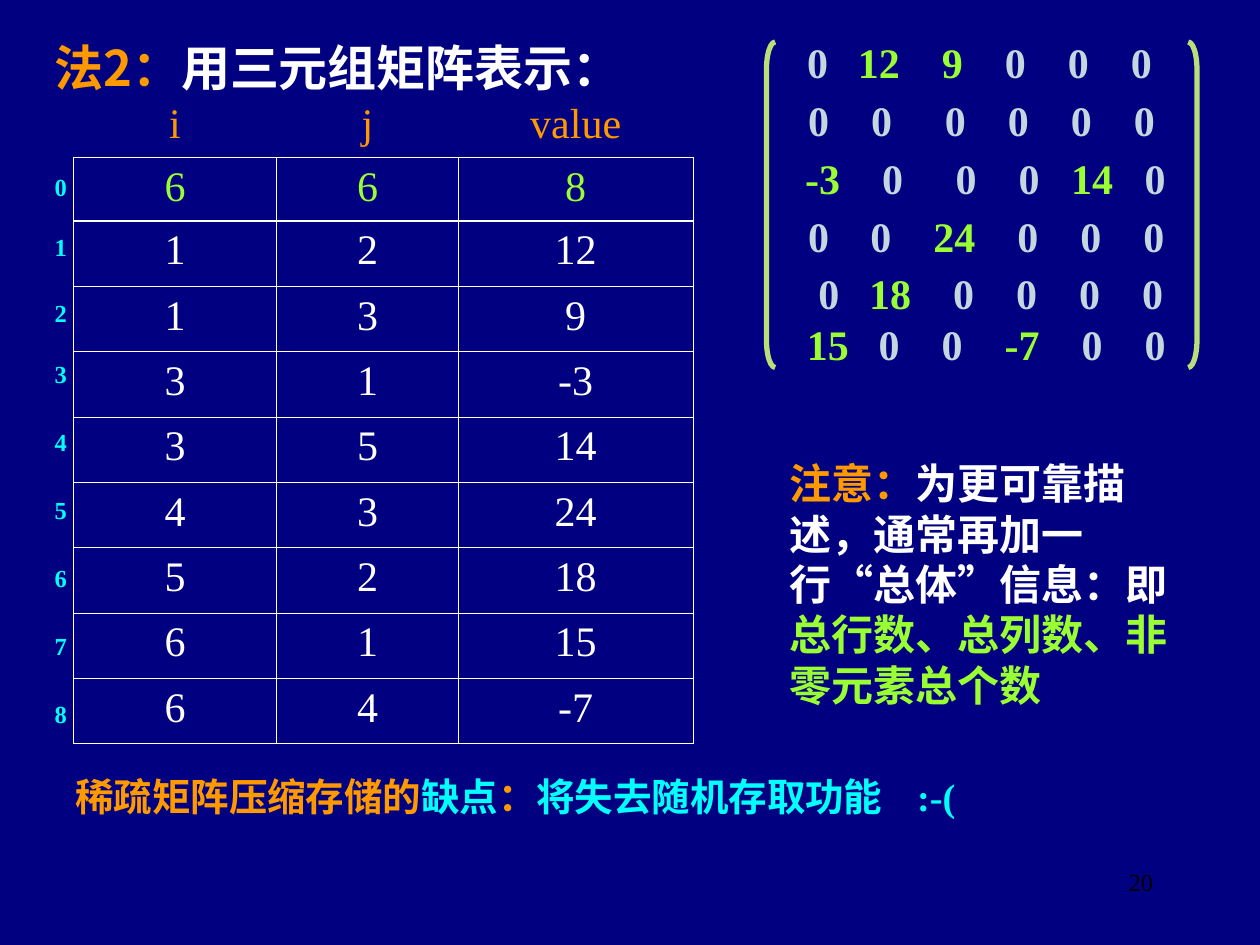
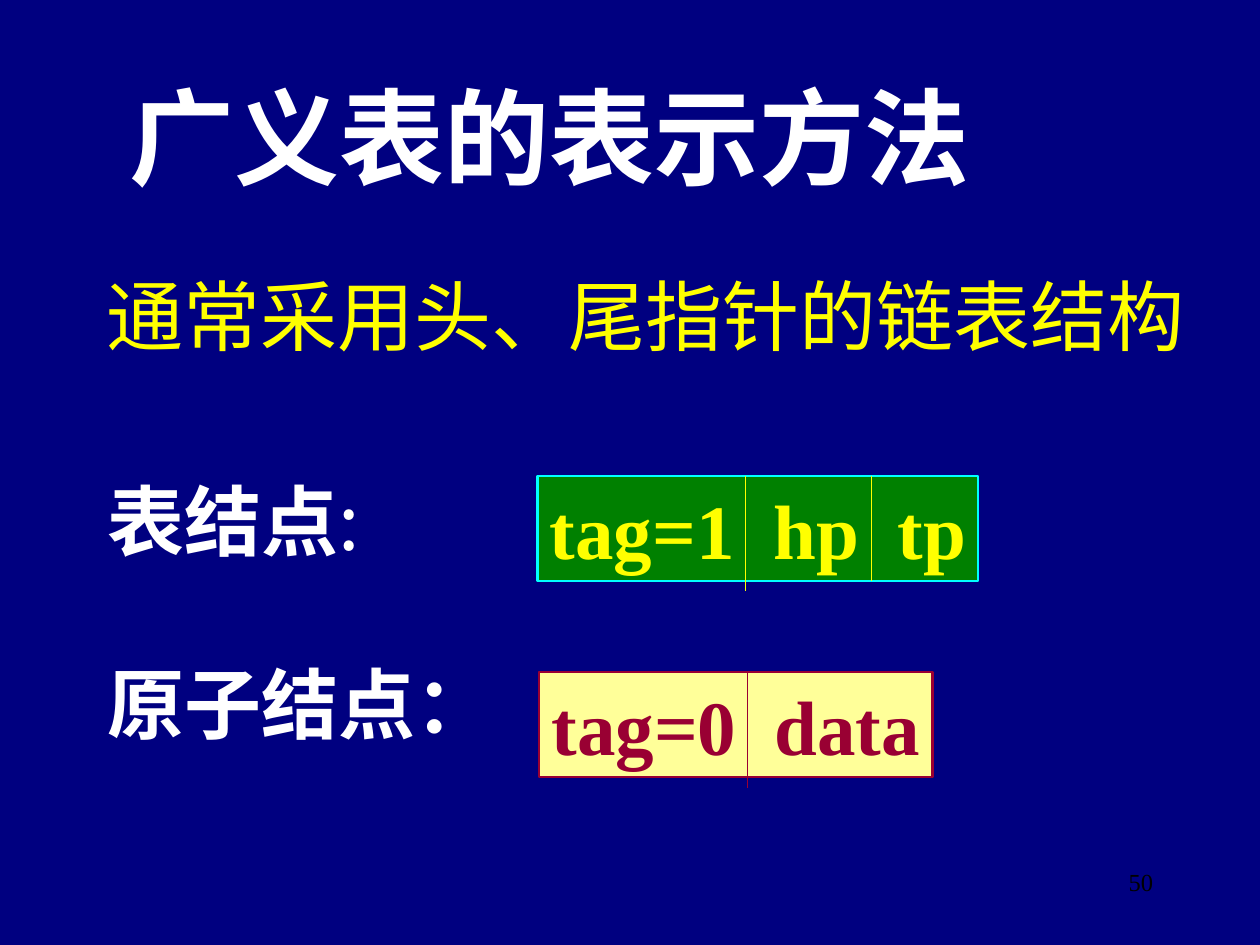
from dataclasses import dataclass

from lxml.etree import SubElement
from pptx import Presentation
from pptx.dml.color import RGBColor
from pptx.enum.shapes import MSO_CONNECTOR, MSO_SHAPE
from pptx.enum.text import MSO_ANCHOR, PP_ALIGN
from pptx.oxml.ns import qn
from pptx.util import Pt


@dataclass(frozen=True)
class Theme:
    navy: str = "000080"
    white: str = "FFFFFF"
    black: str = "000000"
    orange: str = "FF9900"
    lime: str = "99FF33"
    cyan: str = "00FFFF"
    yellow: str = "FFFF00"
    pale: str = "C4D7DE"
    bracket: str = "BADE78"
    green: str = "008000"
    cream: str = "FFFF99"
    maroon: str = "990033"
    latin: str = "Times New Roman"
    chinese: str = "Noto Sans CJK SC"
    small: int = 14
    remark: int = 22
    body: int = 24
    heading: int = 28
    large: int = 44
    title: int = 60


def apply(target, formats):
    for name, value in formats.items():
        setattr(target, name, value)


class SlideBuilder:
    def __init__(self, theme):
        self.theme = theme
        self.deck = Presentation()
        apply(self.deck, {"slide_width": Pt(720), "slide_height": Pt(540)})
        self.page = None

    def new_page(self, number):
        self.page = self.deck.slides.add_slide(self.deck.slide_layouts[6])
        fill = self.page.background.fill
        fill.solid()
        fill.fore_color.rgb = RGBColor.from_string(self.theme.navy)
        self.text((516, 492, 150, 36), [(str(number), self.theme.black)],
                  self.theme.small, alignment=PP_ALIGN.RIGHT)

    def paragraph(self, para, spans, size, font=None, bold=False, tabs=(), **formats):
        properties = para._p.get_or_add_pPr()
        properties.set("hangingPunct", "0")
        if tabs:
            stops = SubElement(properties, qn("a:tabLst"))
            for stop in tabs:
                SubElement(stops, qn("a:tab"), pos=str(Pt(stop)), algn="l")
        apply(para, formats)
        for content, color, *own in spans:
            span = para.add_run()
            span.text = content
            style = {"name": font or self.theme.latin, "size": Pt(size), "bold": bold}
            apply(span.font, style | (own[0] if own else {}))
            span.font.color.rgb = RGBColor.from_string(color)
            SubElement(span._r.get_or_add_rPr(), qn("a:ea"), typeface=self.theme.chinese)

    def frame(self, shape, right=7.2, anchor=MSO_ANCHOR.TOP):
        box = shape.text_frame
        apply(box, {"word_wrap": True, "vertical_anchor": anchor,
                    "margin_left": Pt(7.2), "margin_right": Pt(right),
                    "margin_top": Pt(3.6), "margin_bottom": Pt(3.6)})
        return box

    def text(self, place, spans, size, right=7.2, anchor=MSO_ANCHOR.TOP, **style):
        shape = self.page.shapes.add_textbox(*map(Pt, place))
        box = self.frame(shape, right, anchor)
        self.paragraph(box.paragraphs[0], spans, size, **style)
        return box

    def shape(self, kind, place, line, width, fill=None):
        shape = self.page.shapes.add_shape(kind, *map(Pt, place))
        shape.shadow.inherit = False
        if fill:
            shape.fill.solid()
            shape.fill.fore_color.rgb = RGBColor.from_string(fill)
        else:
            shape.fill.background()
        shape.line.color.rgb = RGBColor.from_string(line)
        shape.line.width = Pt(width)
        return shape

    def bracket(self, kind, left):
        shape = self.shape(kind, (left, 24, 5, 186), self.theme.bracket, 3)
        shape.adjustments[0] = 3.1

    def divider(self, left, top, length, color):
        line = self.page.shapes.add_connector(
            MSO_CONNECTOR.STRAIGHT, Pt(left), Pt(top), Pt(left), Pt(top + length))
        line.line.color.rgb = RGBColor.from_string(color)
        line.line.width = Pt(0.75)
        SubElement(line._element.spPr, qn("a:effectLst"))

    def node(self, place, fields, tabs, dividers, color, fill, line):
        shape = self.shape(MSO_SHAPE.RECTANGLE, place, line, 1.5, fill)
        box = self.frame(shape, right=0)
        self.paragraph(box.paragraphs[0], [("\t".join(fields), color)], self.theme.large,
                       bold=True, tabs=tabs, alignment=PP_ALIGN.LEFT)
        for left, length in dividers:
            self.divider(left, place[1], length, color)

    def border(self, cell, width):
        properties = cell._tc.get_or_add_tcPr()
        for side in ("lnL", "lnR", "lnT", "lnB"):
            line = SubElement(properties, qn(f"a:{side}"), w=str(Pt(width)))
            if width:
                fill = SubElement(line, qn("a:solidFill"))
                SubElement(fill, qn("a:srgbClr"), val=self.theme.white)
            else:
                SubElement(line, qn("a:noFill"))

    def table(self, left, top, widths, heights, rows, color, size,
              border=0, bold=False, alignment=PP_ALIGN.CENTER):
        graphic = self.page.shapes.add_table(
            len(rows), len(widths), Pt(left), Pt(top), Pt(sum(widths)), Pt(sum(heights)))
        table = graphic.table
        apply(table, {"first_row": False, "horz_banding": False})
        for column, width in zip(table.columns, widths):
            column.width = Pt(width)
        for row, height, values in zip(table.rows, heights, rows):
            row.height = Pt(height)
            for cell, value in zip(row.cells, values):
                self.border(cell, border)
                cell.fill.background()
                apply(cell, {"margin_left": Pt(7.2), "margin_right": Pt(7.2),
                             "margin_top": Pt(3.6), "margin_bottom": Pt(3.6)})
                self.paragraph(cell.text_frame.paragraphs[0], [(str(value), color)],
                               size, bold=bold, alignment=alignment)


def sparse_matrix(build):
    theme = build.theme
    build.bracket(MSO_SHAPE.LEFT_BRACKET, 438)
    build.bracket(MSO_SHAPE.RIGHT_BRACKET, 679)
    rows = [
        (24, 461.3, (29, 77, 113, 149, 185), (0, 12, 9, 0, 0, 0)),
        (57, 462, (36, 78, 114, 150, 186), (0, 0, 0, 0, 0, 0)),
        (90, 460.2, (44, 86, 122, 152, 194), (-3, 0, 0, 0, 14, 0)),
        (123, 462, (35.5, 71.5, 119.5, 155.5, 191.5), (0, 0, 24, 0, 0, 0)),
        (156, 467.8, (29, 77, 113, 149, 185), (0, 18, 0, 0, 0, 0)),
        (185, 461.2, (41, 77, 113, 157, 193), (15, 0, 0, -7, 0, 0)),
    ]
    for top, left, tabs, values in rows:
        spans = [(("\t" if index else "") + str(value), theme.lime if value else theme.pale)
                 for index, value in enumerate(values)]
        build.text((left - 7.2, top, 225, 23), spans, theme.body,
                   anchor=MSO_ANCHOR.MIDDLE, bold=True, tabs=tabs)


def triple_table_page(build):
    theme = build.theme
    build.new_page(20)
    build.text((24, 18, 359, 41),
               [("法2：", theme.orange), ("用三元组矩阵表示：", theme.white)],
               theme.heading, font=theme.chinese, bold=True)
    sparse_matrix(build)

    widths = (116, 104, 134)
    triples = [(1, 2, 12), (1, 3, 9), (3, 1, -3), (3, 5, 14),
               (4, 3, 24), (5, 2, 18), (6, 1, 15), (6, 4, -7)]
    build.table(42, 126.3, widths, [37.35] * len(triples), triples,
                theme.white, theme.body, border=0.45)
    build.table(42, 90, widths, [36], [(6, 6, 8)], theme.lime, theme.body, border=0.11)
    build.table(42, 54, widths, [36], [("i", "j", "value")], theme.orange, theme.body)
    build.table(24, 96, [24], [34.5, 37.5, 35] + [38.9] * 5 + [34.5],
                [(index,) for index in range(9)], theme.cyan, theme.small,
                bold=True, alignment=PP_ALIGN.LEFT)

    build.text((444, 258, 246, 151),
               [("注意：", theme.orange),
                ("为更可靠描述，通常再加一行“总体”信息：即", theme.white),
                ("总行数、总列数、非零元素总个数", theme.lime)],
               theme.body, font=theme.chinese, bold=True)
    build.text((36, 438, 546, 34),
               [("稀疏矩阵压缩存储的", theme.orange), ("缺点", theme.cyan),
                ("：", theme.orange), ("将失去随机存取功能\t:-(", theme.cyan)],
               theme.remark, bold=True, tabs=(481,))


def list_nodes_page(build):
    theme = build.theme
    build.new_page(50)
    build.text((67, 38, 494, 79), [("广义表的表示方法", theme.white)],
               theme.title, right=0, font=theme.chinese, bold=True)
    build.text((54, 150, 631, 60), [("通常采用头、尾指针的链表结构", theme.yellow)],
               theme.large, right=0, font=theme.chinese)
    labels = build.text((54.3, 267, 235, 166),
                        [("表结点", theme.white), (":", theme.white, {"bold": False})],
                        theme.large, right=0, font=theme.chinese, bold=True)
    build.paragraph(labels.add_paragraph(), [("原子结点：", theme.white)], theme.large,
                    bold=True, space_before=Pt(52))
    build.node((308, 384, 225, 60), ("tag=0", "data"), (127.5,), [(427, 66)],
               theme.maroon, theme.cream, theme.maroon)
    build.node((307, 272, 252, 60), ("tag=1", "hp", "tp"), (128, 199),
               [(426, 66), (498, 60)], theme.yellow, theme.green, theme.cyan)


def main():
    build = SlideBuilder(Theme())
    triple_table_page(build)
    list_nodes_page(build)
    build.deck.save("out.pptx")


if __name__ == "__main__":
    main()
